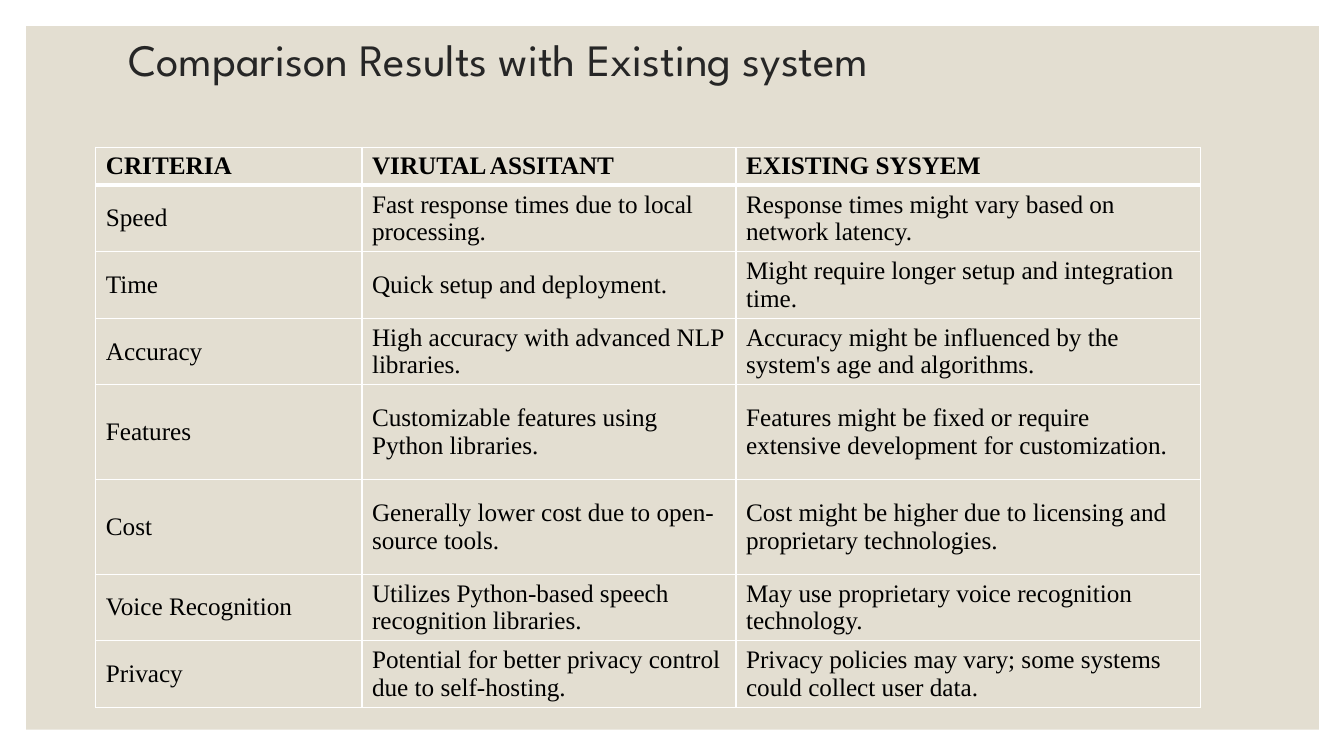
from dataclasses import astuple, dataclass

from lxml.etree import SubElement
from pptx import Presentation
from pptx.dml.color import RGBColor
from pptx.enum.shapes import MSO_SHAPE as Shape
from pptx.enum.text import MSO_ANCHOR as Anchor, MSO_AUTO_SIZE as AutoSize, PP_ALIGN as Align
from pptx.oxml.ns import qn
from pptx.slide import Slide
from pptx.util import Inches, Pt

COLOURS = {"panel": "E3DED1", "title": "262626", "text": "000000", "border": "FFFFFF"}
TITLE_FONT = "League Spartan"
TABLE_FONT = "Times New Roman"


@dataclass
class Criterion:
    name: str
    assistant: str
    existing: str
    height: float = 0.66


HEADER = Criterion("CRITERIA", "VIRUTAL ASSITANT", "EXISTING SYSYEM", 0.26)
CRITERIA = [
    Criterion("Speed", "Fast response times due to local processing.",
              "Response times might vary based on network latency."),
    Criterion("Time", "Quick setup and deployment.",
              "Might require longer setup and integration time."),
    Criterion("Accuracy", "High accuracy with advanced NLP libraries.",
              "Accuracy might be influenced by the system's age and algorithms."),
    Criterion("Features", "Customizable features using Python libraries.",
              "Features might be fixed or require extensive development for customization.", 0.94),
    Criterion("Cost", "Generally lower cost due to open-source tools.",
              "Cost might be higher due to licensing and proprietary technologies.", 0.94),
    Criterion("Voice Recognition", "Utilizes Python-based speech recognition libraries.",
              "May use proprietary voice recognition technology."),
    Criterion("Privacy", "Potential for better privacy control due to self-hosting.",
              "Privacy policies may vary; some systems could collect user data."),
]
COLUMN_WIDTHS = [2.64, 3.71, 4.61]


def colour(name: str) -> RGBColor:
    return RGBColor.from_string(COLOURS[name])


def format_text(paragraph, font: str, size: float, ink: str, bold: bool = False) -> None:
    for run in paragraph.runs:
        run.font.name = font
        run.font.size = Pt(size)
        run.font.bold = bold
        run.font.color.rgb = colour(ink)


def set_borders(cell, top: float, bottom: float) -> None:
    properties = cell._tc.get_or_add_tcPr()
    widths = {"a:lnL": 1, "a:lnR": 1, "a:lnT": top, "a:lnB": bottom}
    for position, (tag, width) in enumerate(widths.items()):
        line = SubElement(properties, qn(tag), w=str(Pt(width)))
        SubElement(SubElement(line, qn("a:solidFill")), qn("a:srgbClr"), val=COLOURS["border"])
        properties.insert(position, line)  # borders come before the fill


def add_panel(slide: Slide) -> None:
    panel = slide.shapes.add_shape(
        Shape.RECTANGLE, Inches(0.26), Inches(0.26), Inches(12.82), Inches(6.98))
    panel.shadow.inherit = False
    panel.fill.solid()
    panel.fill.fore_color.rgb = colour("panel")
    panel.line.fill.background()
    slide.shapes._spTree.insert(2, panel._element)  # behind the title


def add_title(slide: Slide, wording: str) -> None:
    title = slide.shapes.title
    title.left, title.top = Inches(1.17), Inches(0.28)
    title.width, title.height = Inches(10.53), Inches(0.67)
    frame = title.text_frame
    frame.text = wording
    frame.word_wrap = True
    frame.auto_size = AutoSize.NONE
    frame.vertical_anchor = Anchor.MIDDLE
    heading = frame.paragraphs[0]
    heading.alignment = Align.LEFT
    heading.line_spacing = 0.9
    format_text(heading, TITLE_FONT, 32, "title")


def add_comparison(slide: Slide, criteria: list[Criterion]) -> None:
    comparison = slide.shapes.add_table(
        len(criteria), len(COLUMN_WIDTHS), Inches(0.95), Inches(1.46),
        Inches(sum(COLUMN_WIDTHS)), Inches(sum(c.height for c in criteria))).table
    comparison.horz_banding = False
    for column, width in zip(comparison.columns, COLUMN_WIDTHS):
        column.width = Inches(width)
    for index, (row, criterion) in enumerate(zip(comparison.rows, criteria)):
        row.height = Inches(criterion.height)
        is_header = index == 0
        for cell, wording in zip(row.cells, astuple(criterion)):
            cell.text_frame.text = wording
            cell.vertical_anchor = Anchor.BOTTOM if is_header else Anchor.MIDDLE
            format_text(cell.text_frame.paragraphs[0], TABLE_FONT, 18, "text", is_header)
            cell.fill.solid()
            cell.fill.fore_color.rgb = colour("panel")
            set_borders(cell, top=3 if index == 1 else 1, bottom=3 if is_header else 1)


def main() -> None:
    deck = Presentation()
    deck.slide_width, deck.slide_height = Inches(13.33), Inches(7.5)
    slide = deck.slides.add_slide(deck.slide_layouts[5])  # Title Only

    # Background and heading
    add_panel(slide)
    add_title(slide, "Comparison Results with Existing system")

    # Comparison table
    add_comparison(slide, [HEADER, *CRITERIA])
    deck.save("out.pptx")


if __name__ == "__main__":
    main()
